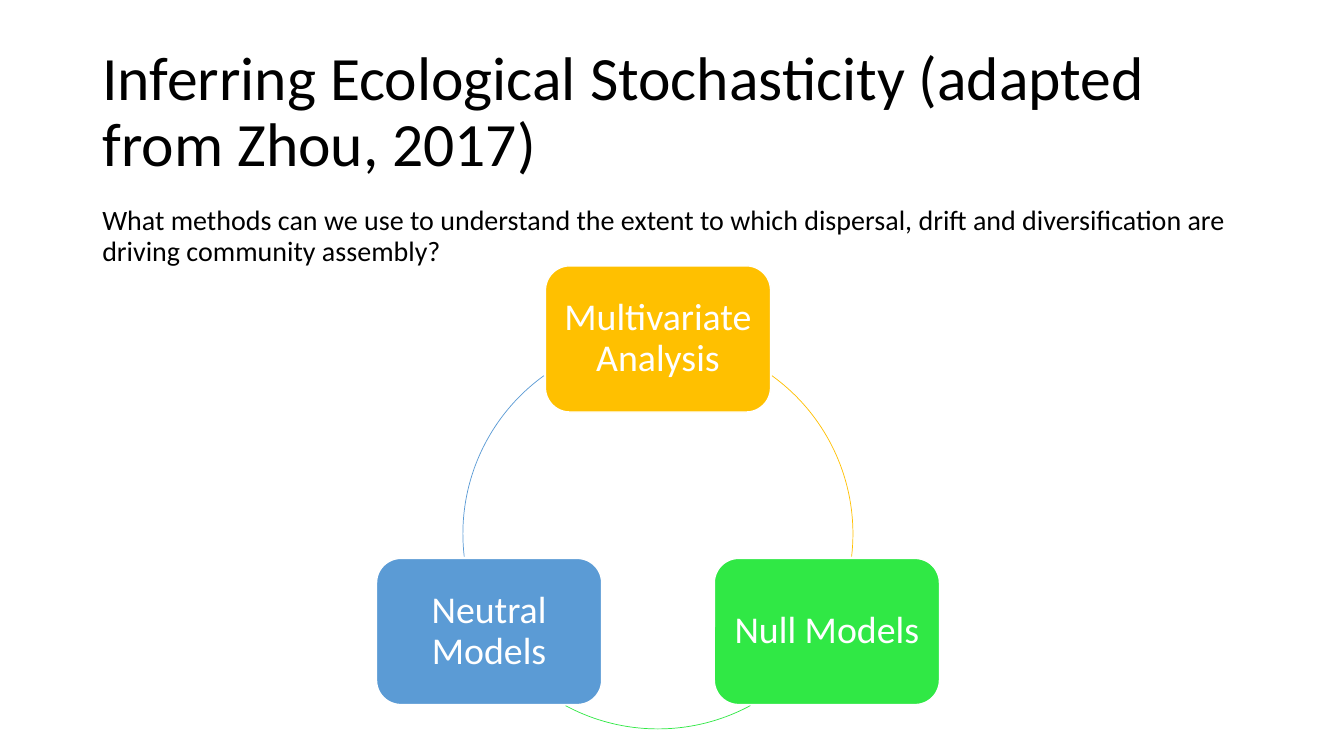
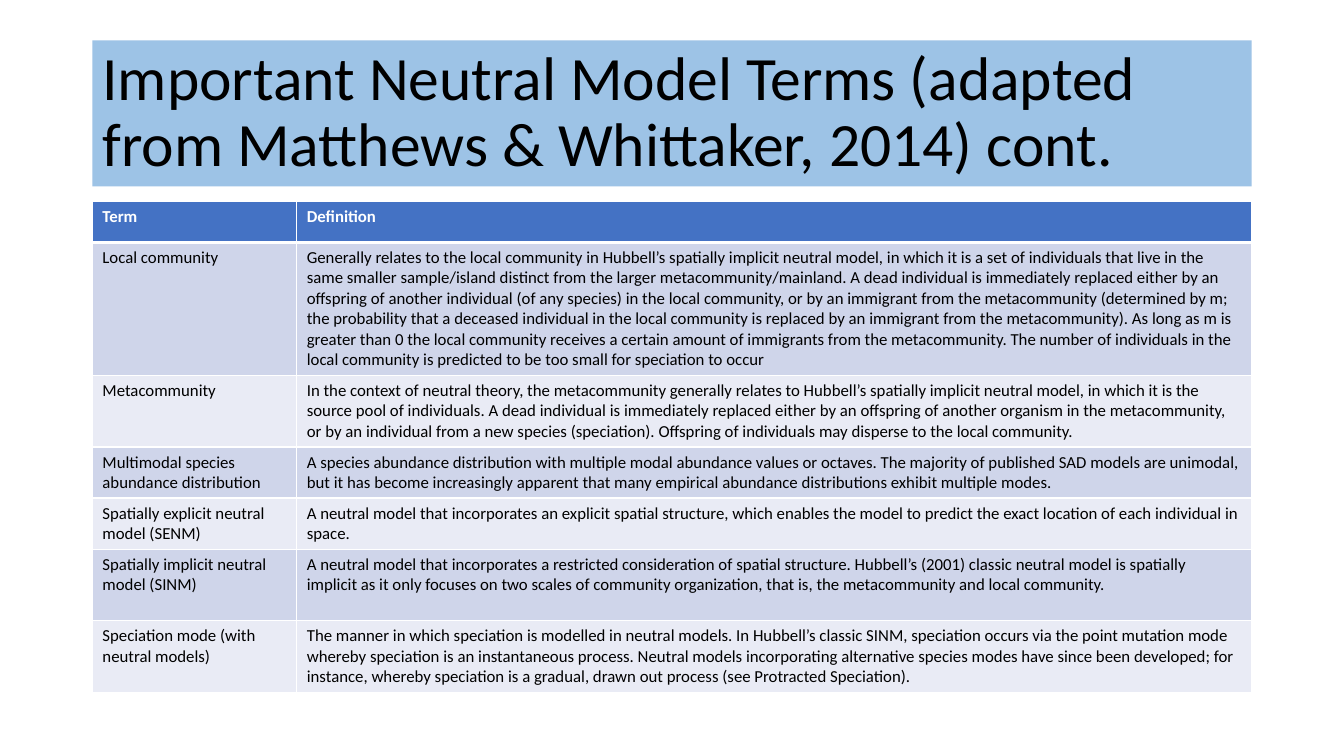
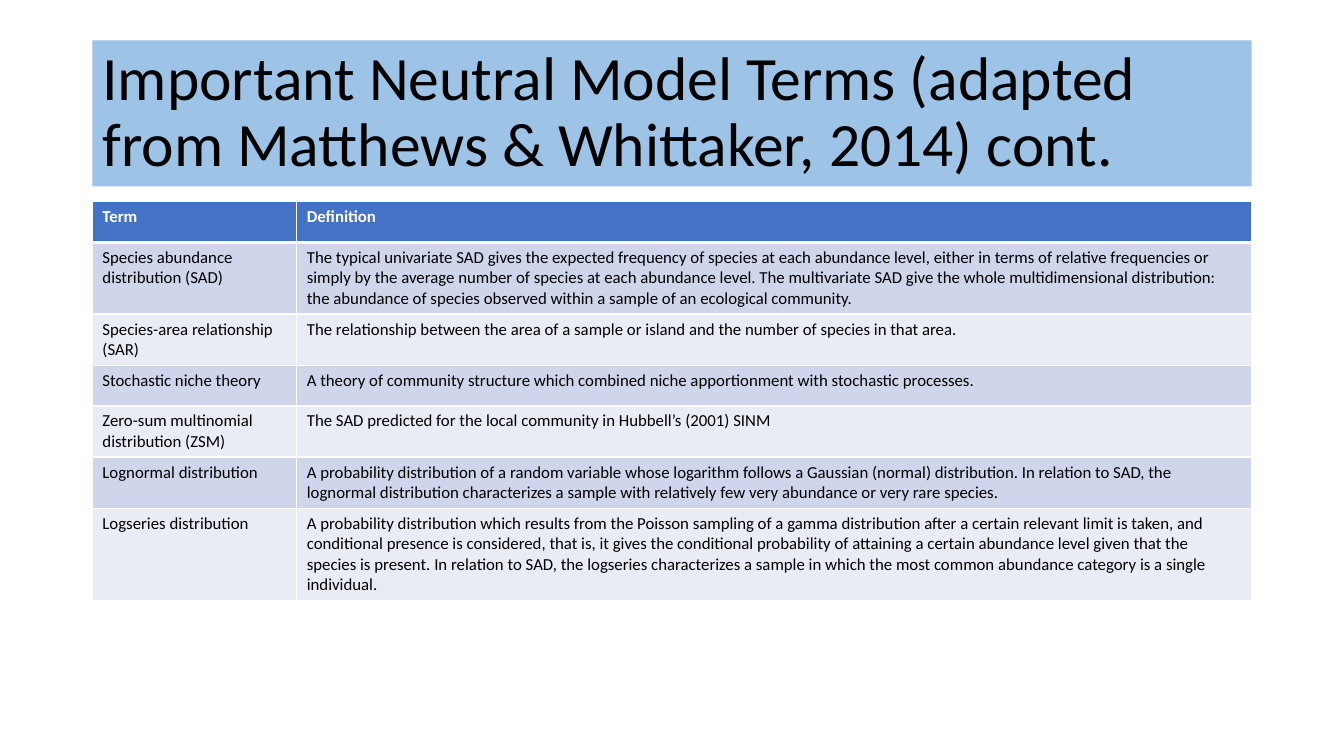
from math import cos, radians, sin

from lxml import etree
from pptx import Presentation
from pptx.dml.color import RGBColor
from pptx.enum.shapes import MSO_SHAPE
from pptx.enum.text import MSO_ANCHOR, MSO_AUTO_SIZE, PP_ALIGN
from pptx.oxml.ns import qn
from pptx.util import Pt

ROUND, ARC = MSO_SHAPE.ROUNDED_RECTANGLE, MSO_SHAPE.ARC
MIDDLE, TOP = MSO_ANCHOR.MIDDLE, MSO_ANCHOR.TOP
LEFT, CENTER = PP_ALIGN.LEFT, PP_ALIGN.CENTER
FIXED = MSO_AUTO_SIZE.NONE

BLACK, WHITE = "000000", "FFFFFF"
BAND, HEAD = "9DC3E6", "4472C4"
ROWS = ("E9EBF5", "CFD5EA")
EDGE, WIDE = 66, 828

TERMS = "Important Neutral Model Terms (adapted from Matthews & Whittaker, 2014) cont."

FIRST = [
    ("Local community", "Generally relates to the local community in Hubbell’s spatially implicit neutral model, in which it is a set of individuals that live in the same smaller sample/island distinct from the larger metacommunity/mainland. A dead individual is immediately replaced either by an offspring of another individual (of any species) in the local community, or by an immigrant from the metacommunity (determined by m; the probability that a deceased individual in the local community is replaced by an immigrant from the metacommunity). As long as m is greater than 0 the local community receives a certain amount of immigrants from the metacommunity. The number of individuals in the local community is predicted to be too small for speciation to occur", 6),
    ("Metacommunity", "In the context of neutral theory, the metacommunity generally relates to Hubbell’s spatially implicit neutral model, in which it is the source pool of individuals. A dead individual is immediately replaced either by an offspring of another organism in the metacommunity, or by an individual from a new species (speciation). Offspring of individuals may disperse to the local community.", 3),
    ("Multimodal species abundance distribution", "A species abundance distribution with multiple modal abundance values or octaves. The majority of published SAD models are unimodal, but it has become increasingly apparent that many empirical abundance distributions exhibit multiple modes.", 2),
    ("Spatially explicit neutral model (SENM)", "A neutral model that incorporates an explicit spatial structure, which enables the model to predict the exact location of each individual in space.", 2),
    ("Spatially implicit neutral model (SINM)", "A neutral model that incorporates a restricted consideration of spatial structure. Hubbell’s (2001) classic neutral model is spatially implicit as it only focuses on two scales of community organization, that is, the metacommunity and local community.", 3),
    ("Speciation mode (with neutral models)", "The manner in which speciation is modelled in neutral models. In Hubbell’s classic SINM, speciation occurs via the point mutation mode whereby speciation is an instantaneous process. Neutral models incorporating alternative species modes have since been developed; for instance, whereby speciation is a gradual, drawn out process (see Protracted Speciation).", 3),
]

SECOND = [
    ("Species abundance distribution (SAD)", "The typical univariate SAD gives the expected frequency of species at each abundance level, either in terms of relative frequencies or simply by the average number of species at each abundance level. The multivariate SAD give the whole multidimensional distribution: the abundance of species observed within a sample of an ecological community.", 3),
    ("Species-area relationship (SAR)", "The relationship between the area of a sample or island and the number of species in that area.", 2),
    ("Stochastic niche theory", "A theory of community structure which combined niche apportionment with stochastic processes.", 1),
    ("Zero-sum multinomial distribution (ZSM)", "The SAD predicted for the local community in Hubbell’s (2001) SINM", 2),
    ("Lognormal distribution", "A probability distribution of a random variable whose logarithm follows a Gaussian (normal) distribution. In relation to SAD, the lognormal distribution characterizes a sample with relatively few very abundance or very rare species.", 2),
    ("Logseries distribution", "A probability distribution which results from the Poisson sampling of a gamma distribution after a certain relevant limit is taken, and conditional presence is considered, that is, it gives the conditional probability of attaining a certain abundance level given that the species is present. In relation to SAD, the logseries characterizes a sample in which the most common abundance category is a single individual.", 4),
]

CYCLE = [
    ("Multivariate Analysis", "FFC000", 305.8, 6.7),
    ("Null Models", "30E845", 61.7, 118.3),
    ("Neutral Models", "5B9BD5", 173.3, 234.2),
]


def paint(code):
    """Turn a hex string into a colour."""
    return RGBColor.from_string(code)


class Deck:
    """Holds the style and the current slide."""

    font = "Calibri"

    def __init__(self):
        """Start an empty wide deck."""
        self.file = Presentation()
        self.file.slide_width, self.file.slide_height = Pt(960), Pt(540)
        self.slide = None

    def label(self, frame, text, size, color=BLACK, align=LEFT, anchor=TOP, space=0.9, bold=False):
        """Set and format the text of a frame."""
        frame.text = text
        frame.word_wrap = True
        frame.vertical_anchor = anchor
        for para in frame.paragraphs:
            para.alignment = align
            para.line_spacing = space
            for run in para.runs:
                font = run.font
                font.name, font.size, font.bold = self.font, Pt(size), bold
                font.color.rgb = paint(color)

    def page(self, text, band=None):
        """Add a slide with its title."""
        self.slide = self.file.slides.add_slide(self.file.slide_layouts[5])
        title = self.slide.shapes.title
        title.left, title.top, title.width, title.height = Pt(EDGE), Pt(28.8), Pt(WIDE), Pt(104.4)
        self.label(title.text_frame, text, 44, anchor=MIDDLE)
        title.text_frame.auto_size = FIXED
        if band:
            title.fill.solid()
            title.fill.fore_color.rgb = paint(band)

    def note(self, text, top, high):
        """Add a full-width text box."""
        box = self.slide.shapes.add_textbox(Pt(EDGE), Pt(top), Pt(WIDE), Pt(high))
        self.label(box.text_frame, text, 20)

    def node(self, text, color, mid, level, wide=160.8, high=104.4):
        """Add a rounded box around a centre point."""
        box = self.slide.shapes.add_shape(ROUND, Pt(mid - wide / 2), Pt(level - high / 2), Pt(wide), Pt(high))
        box.shadow.inherit = False
        box.fill.solid()
        box.fill.fore_color.rgb = paint(color)
        box.line.color.rgb = paint(WHITE)
        box.line.width = Pt(1)
        frame = box.text_frame
        frame.margin_left = frame.margin_right = Pt(7)
        self.label(frame, text, 27, WHITE, CENTER, MIDDLE)

    def arc(self, color, mid, level, reach, start, end):
        """Add an arc between two angles in degrees."""
        arc = self.slide.shapes.add_shape(ARC, Pt(mid - reach), Pt(level - reach), Pt(2 * reach), Pt(2 * reach))
        arc.adjustments[0], arc.adjustments[1] = start * 0.6, end * 0.6
        arc.shadow.inherit = False
        arc.fill.background()
        arc.line.color.rgb = paint(color)
        arc.line.width = Pt(0.5)

    def cycle(self, items, mid, level, reach):
        """Place boxes evenly on a circle, with arcs between."""
        for i, (text, color, start, end) in enumerate(items):
            turn = radians(360 * i / len(items) - 90)
            self.node(text, color, mid + reach * cos(turn), level + reach * sin(turn))
            self.arc(color, mid, level, reach, start, end)

    def edges(self, cell, top, bottom):
        """Draw white borders round a cell."""
        props = cell._tc.get_or_add_tcPr()
        for tag, width in (("a:lnL", 1), ("a:lnR", 1), ("a:lnT", top), ("a:lnB", bottom)):
            line = etree.SubElement(props, qn(tag), w=str(Pt(width)))
            fill = etree.SubElement(line, qn("a:solidFill"))
            etree.SubElement(fill, qn("a:srgbClr"), val=WHITE)

    def table(self, items, top=144):
        """Add a table of terms under a header row."""
        rows = [("Term", "Definition", 1)] + items
        table = self.slide.shapes.add_table(len(rows), 2, Pt(EDGE), Pt(top), Pt(WIDE), Pt(200)).table
        for col, wide in zip(table.columns, (146, WIDE - 146)):
            col.width = Pt(wide)
        for r, (term, text, lines) in enumerate(rows):
            table.rows[r].height = Pt(max(29.2, 7.2 + 14.6 * lines))
            head = r == 0
            for c, words in enumerate((term, text)):
                cell = table.cell(r, c)
                self.edges(cell, 3 if r == 1 else 1, 3 if head else 1)
                cell.fill.solid()
                cell.fill.fore_color.rgb = paint(HEAD if head else ROWS[r % 2])
                self.label(cell.text_frame, words, 12, WHITE if head else BLACK, space=1, bold=head)


def main():
    """Build the three slides."""
    deck = Deck()
    deck.page("Inferring Ecological Stochasticity (adapted from Zhou, 2017)")
    deck.note("What methods can we use to understand the extent to which dispersal, drift and diversification are driving community assembly?", 144, 68.4)
    deck.cycle(CYCLE, 470, 381.4, 139.3)
    for items in (FIRST, SECOND):
        deck.page(TERMS, BAND)
        deck.table(items)
    deck.file.save("out.pptx")


if __name__ == "__main__":
    main()
